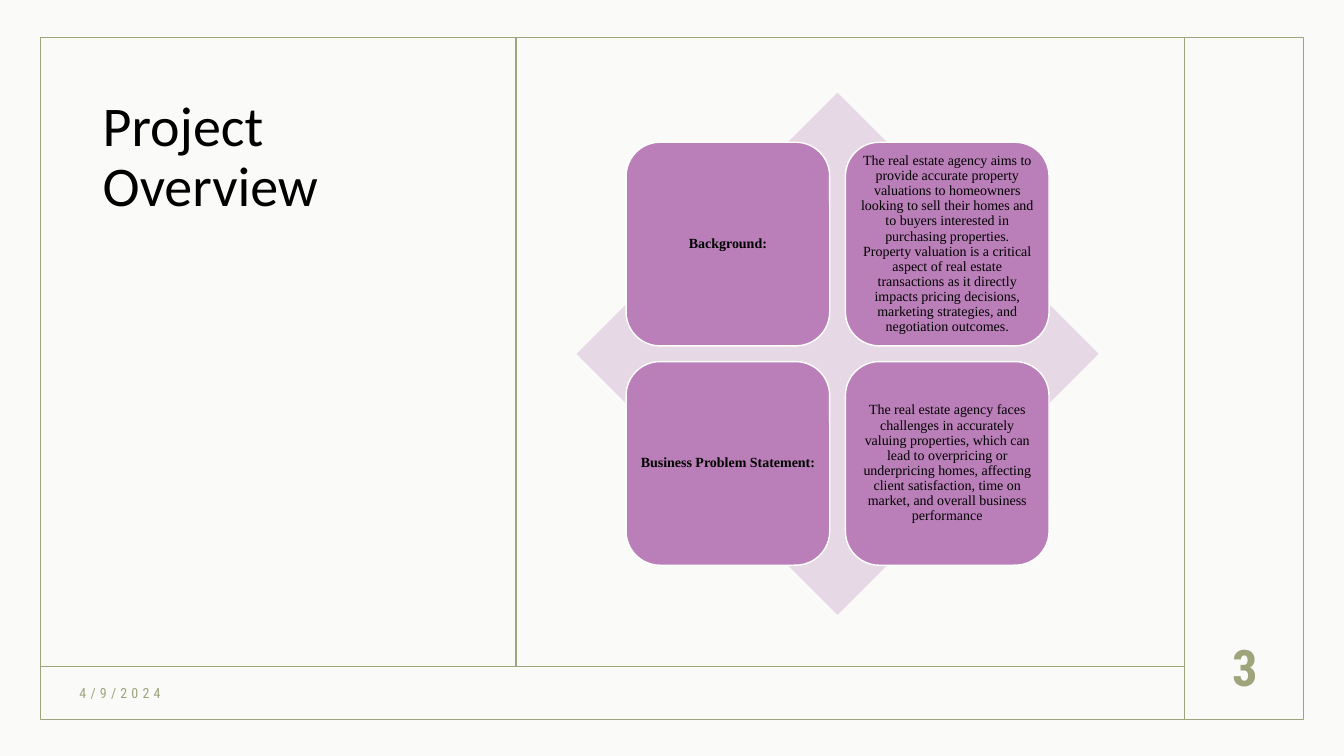
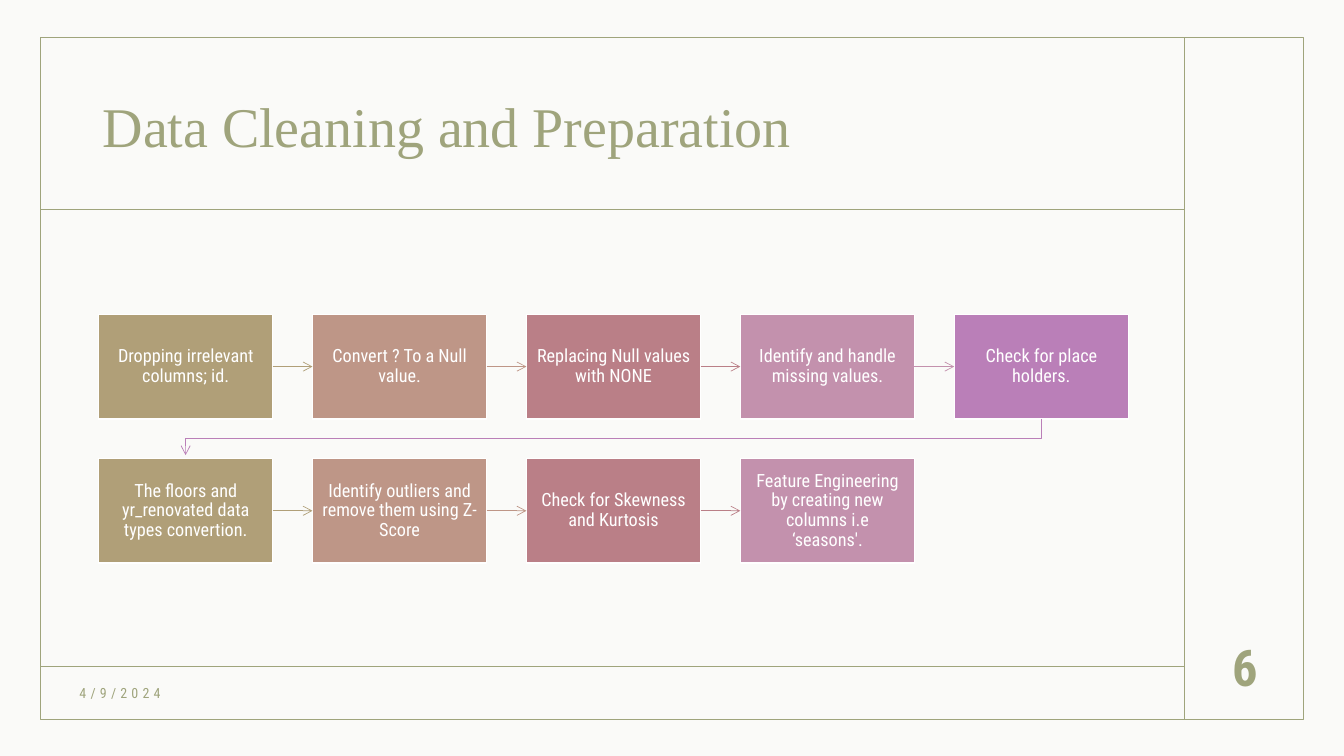
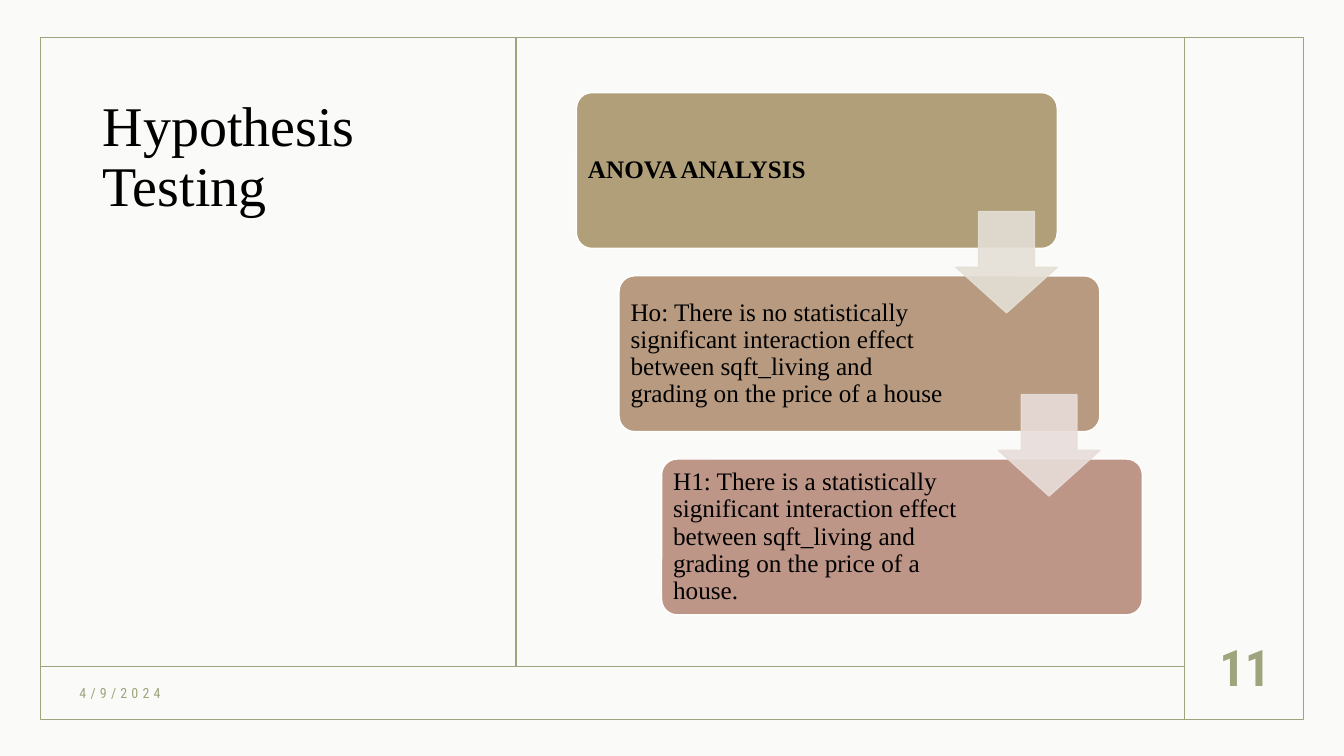
from dataclasses import dataclass
from itertools import pairwise
from typing import NamedTuple

from lxml.etree import SubElement
from pptx import Presentation
from pptx.dml.color import RGBColor
from pptx.enum.shapes import MSO_CONNECTOR, MSO_SHAPE
from pptx.enum.text import MSO_ANCHOR, MSO_AUTO_SIZE, PP_ALIGN
from pptx.oxml.ns import qn
from pptx.util import Pt


class Box(NamedTuple):
    x: float
    y: float
    w: float
    h: float

    def lengths(self):
        return [Pt(value) for value in self]


@dataclass(frozen=True)
class Theme:
    paper: RGBColor = RGBColor(0xFA, 0xFA, 0xF8)
    sage: RGBColor = RGBColor(0x9F, 0xA4, 0x7C)
    ink: RGBColor = RGBColor(0, 0, 0)
    white: RGBColor = RGBColor(0xFF, 0xFF, 0xFF)
    sand: RGBColor = RGBColor(0xB0, 0x9F, 0x78)
    tan: RGBColor = RGBColor(0xB7, 0x9A, 0x7F)
    clay: RGBColor = RGBColor(0xBE, 0x96, 0x87)
    rose: RGBColor = RGBColor(0xBA, 0x7F, 0x87)
    pink: RGBColor = RGBColor(0xC3, 0x91, 0xAD)
    orchid: RGBColor = RGBColor(0xBA, 0x7F, 0xB8)
    pale_orchid: RGBColor = RGBColor(0xE7, 0xD8, 0xE6)
    pale_sand: RGBColor = RGBColor(0xE4, 0xDF, 0xD6)
    pale_clay: RGBColor = RGBColor(0xE8, 0xDD, 0xD9)
    sans: str = "Roboto Condensed"
    serif: str = "Times New Roman"
    plain: str = "Calibri"
    title_size: float = 40
    number_size: float = 36
    card_size: float = 18
    step_size: float = 13
    small_size: float = 10


THEME = Theme()
FRAME = Box(29, 26.6, 902.2, 487.2)
SIDE_X, SPLIT_X = 846, 368.6
FOOTER_Y, HEADER_Y = 476, 149.8
SIDE_TITLE = Box(66.2, 66.2, 267, 361.4)
TOP_TITLE = Box(66.2, 43.2, 750.2, 97.9)
DATE = Box(49.7, 483.8, 248.4, 22.3)
NUMBER = Box(851.8, 446.4, 74.9, 59.8)
DIAGRAM = Box(411.8, 66.2, 404.2, 373)
FLOW = Box(70.4, 224.5, 735.6, 177.7)


def write(shape, content, font=THEME.sans, size=THEME.small_size, color=THEME.ink,
          bold=False, align=PP_ALIGN.LEFT, anchor=MSO_ANCHOR.MIDDLE,
          margins=(7.2, 3.6, 7.2, 3.6), line_spacing=0.9, tracking=0):
    """Fill a shape with one paragraph; margins run left, top, right, bottom."""
    frame = shape.text_frame
    frame.word_wrap = True
    frame.auto_size = MSO_AUTO_SIZE.NONE
    frame.vertical_anchor = anchor
    (frame.margin_left, frame.margin_top,
     frame.margin_right, frame.margin_bottom) = map(Pt, margins)
    paragraph = frame.paragraphs[0]
    paragraph.alignment = align
    paragraph.line_spacing = line_spacing
    run = paragraph.add_run()
    run.text = content
    run.font.name, run.font.size, run.font.bold = font, Pt(size), bold
    run.font.color.rgb = color
    if tracking:
        run.font._element.set("spc", str(tracking * 100))


def add_block(slide, preset, box, fill=None, line=None, adjustments=()):
    block = slide.shapes.add_shape(preset, *box.lengths())
    block.shadow.inherit = False
    for index, value in enumerate(adjustments):
        block.adjustments[index] = value
    if fill is None:
        block.fill.background()
    else:
        block.fill.solid()
        block.fill.fore_color.rgb = fill
    if line is None:
        block.line.fill.background()
    else:
        block.line.color.rgb = line
        block.line.width = Pt(1)
    return block


def add_rule(slide, start, end, color=THEME.sage, width=1):
    rule = slide.shapes.add_connector(MSO_CONNECTOR.STRAIGHT, *map(Pt, (*start, *end)))
    rule.line.color.rgb = color
    rule.line.width = Pt(width)
    SubElement(rule._element.spPr, qn("a:effectLst"))
    return rule


def add_arrowhead(line_shape):
    outline = line_shape._element.spPr.find(qn("a:ln"))
    SubElement(outline, qn("a:tailEnd"), type="arrow")


def set_opacity(shape, percent):
    for color in shape._element.spPr.iter(qn("a:srgbClr")):
        SubElement(color, qn("a:alpha"), val=str(percent * 1000))


def add_page(deck, title, number, title_box, anchor, font, color):
    """Add a slide with the parts that all slides share."""
    slide = deck.slides.add_slide(deck.slide_layouts.get_by_name("Title Only"))
    add_block(slide, MSO_SHAPE.RECTANGLE, FRAME, line=THEME.sage)
    heading = slide.shapes.title
    heading.left, heading.top, heading.width, heading.height = title_box.lengths()
    write(heading, title, font=font, size=THEME.title_size, color=color, anchor=anchor)
    add_rule(slide, (SIDE_X, FRAME.y), (SIDE_X, FRAME.y + FRAME.h))
    add_rule(slide, (FRAME.x, FOOTER_Y), (SIDE_X, FOOTER_Y))
    write(slide.shapes.add_textbox(*DATE.lengths()), "4/9/2024",
          color=THEME.sage, line_spacing=1, tracking=3)
    write(slide.shapes.add_textbox(*NUMBER.lengths()), number, size=THEME.number_size,
          color=THEME.sage, bold=True, align=PP_ALIGN.CENTER, line_spacing=1)
    return slide


def add_side_title_page(deck, title, number, font):
    slide = add_page(deck, title, number, SIDE_TITLE, MSO_ANCHOR.TOP, font, THEME.ink)
    add_rule(slide, (SPLIT_X, FRAME.y), (SPLIT_X, FOOTER_Y))
    return slide


def add_top_title_page(deck, title, number):
    slide = add_page(deck, title, number, TOP_TITLE, MSO_ANCHOR.MIDDLE,
                     THEME.serif, THEME.sage)
    add_rule(slide, (FRAME.x, HEADER_Y), (SIDE_X, HEADER_Y))
    return slide


def add_matrix(slide, box, rows):
    """Draw heading and text tiles over a diamond as high as the box."""
    side = box.h
    add_block(slide, MSO_SHAPE.DIAMOND, Box(box.x, box.y, side, side), THEME.pale_orchid)
    tile, offset, pitch = side * 0.39, side * 0.095, side * 0.42
    for row, texts in enumerate(rows):
        for column, content in enumerate(texts):
            place = Box(box.x + offset + column * pitch,
                        box.y + offset + row * pitch, tile, tile)
            block = add_block(slide, MSO_SHAPE.ROUNDED_RECTANGLE, place,
                              THEME.orchid, THEME.white)
            write(block, content, font=THEME.serif, bold=column == 0,
                  align=PP_ALIGN.CENTER, margins=(3, 3, 3, 3))


def add_flow(slide, box, rows, colors):
    """Draw rows of steps joined by arrows, each row leading into the next."""
    step_w, step_h = 124.4, 74.7
    pitch_x = (box.w - step_w) / (len(colors) - 1)
    pitch_y = (box.h - step_h) / (len(rows) - 1)
    for row, texts in enumerate(rows):
        top = box.y + row * pitch_y
        steps = []
        for column, (content, color) in enumerate(zip(texts, colors)):
            place = Box(box.x + column * pitch_x, top, step_w, step_h)
            step = add_block(slide, MSO_SHAPE.RECTANGLE, place, color, THEME.white)
            write(step, content, size=THEME.step_size, color=THEME.white,
                  align=PP_ALIGN.CENTER, margins=(6, 6.4, 6, 6.4))
            steps.append(step)
        for (source, target), color in zip(pairwise(steps), colors):
            arrow = add_rule(slide, (0, 0), (0, 0), color, width=0.5)
            arrow.begin_connect(source, 3)
            arrow.end_connect(target, 1)
            add_arrowhead(arrow)
        if row < len(rows) - 1:
            add_return_arrow(slide, box.x + box.w - step_w / 2, box.x + step_w / 2,
                             top + step_h, top + pitch_y - 2.4, top + (step_h + pitch_y) / 2,
                             colors[-1])


def add_return_arrow(slide, start_x, end_x, start_y, end_y, turn_y, color):
    outline = slide.shapes.build_freeform(Pt(start_x), Pt(start_y))
    corners = [(start_x, turn_y), (end_x, turn_y), (end_x, end_y)]
    outline.add_line_segments([(Pt(x), Pt(y)) for x, y in corners], close=False)
    arrow = outline.convert_to_shape()
    arrow.shadow.inherit = False
    arrow.fill.background()
    arrow.line.color.rgb = color
    arrow.line.width = Pt(0.5)
    add_arrowhead(arrow)


def add_staircase(slide, box, cards, arrow_colors):
    """Draw cards stepping down to the right, with an arrow over each gap."""
    card_w, card_h, arrow_side = 343.4, 111.3, 72.4
    shift = (box.w - card_w) / (len(cards) - 1)
    pitch = (box.h - card_h) / (len(cards) - 1)
    for index, (content, color) in enumerate(cards):
        place = Box(box.x + index * shift, box.y + index * pitch, card_w, card_h)
        card = add_block(slide, MSO_SHAPE.ROUNDED_RECTANGLE, place, color,
                         THEME.white, adjustments=[0.1])
        write(card, content, font=THEME.serif, size=THEME.card_size,
              bold=index == 0, margins=(5, 5, 108, 5))
    for index, color in enumerate(arrow_colors):
        gap_middle = box.y + index * pitch + (card_h + pitch) / 2
        place = Box(box.x + index * shift + card_w - arrow_side,
                    gap_middle - arrow_side / 2, arrow_side, arrow_side)
        # Down arrow adjustments: shaft width first, then head length.
        arrow = add_block(slide, MSO_SHAPE.DOWN_ARROW, place, color, color,
                          adjustments=[0.55, 0.45])
        set_opacity(arrow, 90)


def main():
    deck = Presentation()
    deck.slide_width, deck.slide_height = Pt(960), Pt(540)
    background = deck.slide_master.background.fill
    background.solid()
    background.fore_color.rgb = THEME.paper

    overview = add_side_title_page(deck, "Project Overview", "3", THEME.plain)
    add_matrix(overview, DIAGRAM, [
        ("Background:",
         "The real estate agency aims to provide accurate property valuations to "
         "homeowners looking to sell their homes and to buyers interested in purchasing "
         "properties. Property valuation is a critical aspect of real estate transactions "
         "as it directly impacts pricing decisions, marketing strategies, and negotiation "
         "outcomes."),
        ("Business Problem Statement:",
         "The real estate agency faces challenges in accurately valuing properties, which "
         "can lead to overpricing or underpricing homes, affecting client satisfaction, "
         "time on market, and overall business performance"),
    ])

    cleaning = add_top_title_page(deck, "Data Cleaning and Preparation", "6")
    add_flow(cleaning, FLOW, [
        ("Dropping irrelevant columns; id.",
         "Convert ? To a Null value.",
         "Replacing Null values with NONE",
         "Identify and handle missing values.",
         "Check for place holders."),
        ("The floors and yr_renovated data types convertion.",
         "Identify outliers and remove them using Z-Score",
         "Check for Skewness and Kurtosis",
         "Feature Engineering by creating new columns i.e ‘seasons'."),
    ], [THEME.sand, THEME.clay, THEME.rose, THEME.pink, THEME.orchid])

    testing = add_side_title_page(deck, "Hypothesis Testing", "11", THEME.serif)
    add_staircase(testing, DIAGRAM, [
        ("ANOVA ANALYSIS", THEME.sand),
        ("Ho: There is no statistically significant interaction effect between "
         "sqft_living and grading on the price of a house", THEME.tan),
        ("H1: There is a statistically significant interaction effect between "
         "sqft_living and grading on the price of a house.", THEME.clay),
    ], [THEME.pale_sand, THEME.pale_clay])

    deck.save("out.pptx")


if __name__ == "__main__":
    main()
